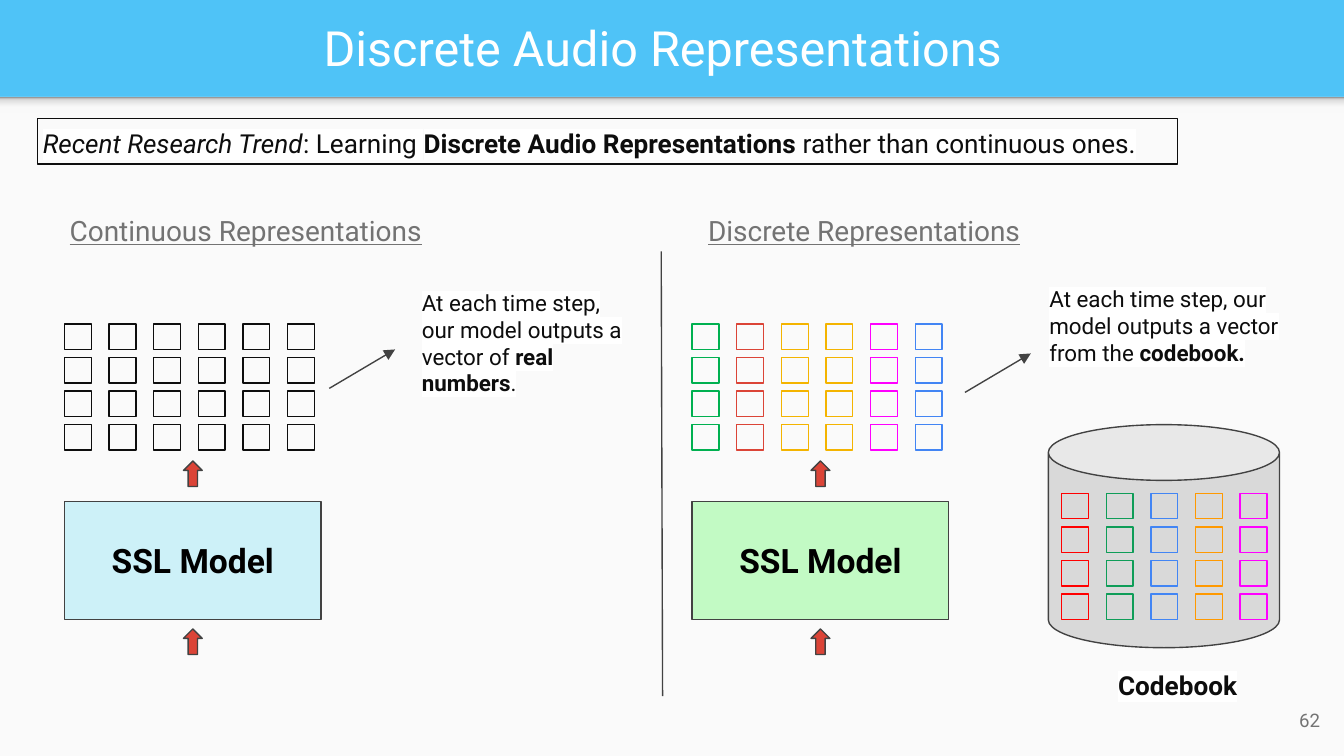
from lxml.etree import SubElement
from pptx import Presentation
from pptx.dml.color import RGBColor
from pptx.enum.shapes import MSO_CONNECTOR, MSO_SHAPE
from pptx.enum.text import MSO_ANCHOR, PP_ALIGN
from pptx.oxml.ns import qn
from pptx.util import Inches, Pt

SKY = RGBColor(0x4F, 0xC3, 0xF7)
PAPER = RGBColor(0xFA, 0xFA, 0xFA)
WHITE = RGBColor(0xFF, 0xFF, 0xFF)
BLACK = RGBColor(0x00, 0x00, 0x00)
INK = RGBColor(0x0D, 0x0D, 0x0D)
OUTLINE = RGBColor(0x42, 0x42, 0x42)
GRAY = RGBColor(0x73, 0x73, 0x73)
SILVER = RGBColor(0xD9, 0xD9, 0xD9)
BRICK = RGBColor(0xDB, 0x44, 0x37)
RED = RGBColor(0xFF, 0x00, 0x00)
GREEN = RGBColor(0x00, 0xB0, 0x50)
JADE = RGBColor(0x0F, 0x9D, 0x58)
YELLOW = RGBColor(0xF4, 0xB4, 0x00)
ORANGE = RGBColor(0xFF, 0x99, 0x00)
MAGENTA = RGBColor(0xFF, 0x00, 0xFF)
BLUE = RGBColor(0x42, 0x85, 0xF4)
CYAN = RGBColor(0x29, 0xD2, 0xF5)
LIME = RGBColor(0x84, 0xFB, 0x89)
SHADOW_STOPS = [(0, "F9F9F9"), (36, "F9F9F9"), (80, "DEDEDE"), (100, "999999")]
COLUMN_PITCH = 1.66 / 5
ROW_PITCH = 0.25


def add_box(slide, kind, left, top, width, height, fill=None, line=None, alpha=None):
    """Add a preset shape with an optional fill, opacity and outline."""
    shape = slide.shapes.add_shape(kind, Inches(left), Inches(top), Inches(width), Inches(height))
    shape.shadow.inherit = False
    if fill is None:
        shape.fill.background()
    else:
        shape.fill.solid()
        shape.fill.fore_color.rgb = fill
    if alpha is not None:
        color = shape._element.spPr.find(qn("a:solidFill"))[0]
        SubElement(color, qn("a:alpha"), val=str(alpha * 1000))
    if line is None:
        shape.line.fill.background()
    else:
        shape.line.color.rgb = line
        shape.line.width = Pt(0.75)
    return shape


def add_line(slide, start, end, arrow=False):
    """Draw a thin straight line, with an arrowhead at its end on request."""
    connector = slide.shapes.add_connector(
        MSO_CONNECTOR.STRAIGHT, *[Inches(value) for value in (*start, *end)])
    connector.line.color.rgb = OUTLINE
    connector.line.width = Pt(0.75)
    if arrow:
        SubElement(connector.line._get_or_add_ln(), qn("a:tailEnd"), type="triangle")
    SubElement(connector._element.spPr, qn("a:effectLst"))


def write(shape, runs, size, color, align=PP_ALIGN.LEFT, anchor=MSO_ANCHOR.TOP, highlight=False):
    """Fill a shape with one paragraph of (text, style) runs."""
    frame = shape.text_frame
    frame.word_wrap = True
    frame.vertical_anchor = anchor
    frame.margin_left = frame.margin_right = Inches(0.1)
    frame.margin_top = frame.margin_bottom = Inches(0.1)
    paragraph = frame.paragraphs[0]
    paragraph.alignment = align
    paragraph.font.name = "Roboto"
    paragraph.font.size = Pt(size)
    paragraph.font.color.rgb = color
    for text, style in runs:
        run = paragraph.add_run()
        run.text = text
        if style:
            setattr(run.font, style, True)
        if highlight:
            marker = SubElement(run._r.get_or_add_rPr(), qn("a:highlight"))
            SubElement(marker, qn("a:srgbClr"), val=str(WHITE))


def add_text(slide, left, top, width, height, runs, size, color, **options):
    """Add a text box holding one paragraph."""
    box = slide.shapes.add_textbox(Inches(left), Inches(top), Inches(width), Inches(height))
    write(box, runs, size, color, **options)


def add_page(slide):
    """Lay out the backdrop, header shadow, title and page number."""
    slide.background.fill.solid()
    slide.background.fill.fore_color.rgb = SKY
    add_box(slide, MSO_SHAPE.RECTANGLE, 0, 0.72, 10, 4.91, PAPER)
    shadow = add_box(slide, MSO_SHAPE.RECTANGLE, 0, 0.72, 10, 0.12)
    shadow.fill.gradient()
    shadow.fill.gradient_angle = 90
    stops = shadow._element.spPr.find(qn("a:gradFill")).find(qn("a:gsLst"))
    stops.clear()
    for position, color in SHADOW_STOPS:
        stop = SubElement(stops, qn("a:gs"), pos=str(position * 1000))
        SubElement(stop, qn("a:srgbClr"), val=color)
    title = slide.shapes.title
    title.left, title.top = Inches(0.11), Inches(0.02)
    title.width, title.height = Inches(9.65), Inches(0.66)
    write(title, [("Discrete Audio Representations", None)], 26, WHITE,
          align=PP_ALIGN.CENTER, anchor=MSO_ANCHOR.MIDDLE)
    add_text(slide, 9.32, 5.14, 0.6, 0.43, [("62", None)], 10, GRAY,
             align=PP_ALIGN.RIGHT, anchor=MSO_ANCHOR.MIDDLE)


def add_trend(slide, left, top, width, height):
    """Place the framed statement under the title."""
    runs = [("Recent Research Trend", "italic"), (": Learning ", None),
            ("Discrete Audio Representations", "bold"),
            (" rather than continuous ones.", None)]
    add_text(slide, left - 0.06, top - 0.03, width + 0.8, height + 0.1, runs, 14, INK, highlight=True)
    add_box(slide, MSO_SHAPE.RECTANGLE, left, top, width, height, line=INK)


def add_vectors(slide, left, top, colors):
    """Draw one column of four cells for each colour."""
    for column, color in enumerate(colors):
        for row in range(4):
            add_box(slide, MSO_SHAPE.RECTANGLE, left + column * COLUMN_PITCH,
                    top + row * ROW_PITCH, 0.2, 0.19, line=color)


def add_model(slide, left, top, heading, heading_left, colors, fill, alpha):
    """Build a heading, output vectors, model block and flow arrows."""
    width = 1.91
    add_text(slide, heading_left, top, 2.97, 0.34, [(heading, "underline")], 15, GRAY)
    add_vectors(slide, left, top + 0.92, colors)
    model = add_box(slide, MSO_SHAPE.RECTANGLE, left, top + 2.24, width, 0.88, fill, OUTLINE, alpha)
    write(model, [("SSL Model", "bold")], 18, BLACK,
          align=PP_ALIGN.CENTER, anchor=MSO_ANCHOR.MIDDLE)
    for offset in (1.94, 3.19):
        add_box(slide, MSO_SHAPE.UP_ARROW, left + width / 2 - 0.07, top + offset,
                0.14, 0.19, BRICK, OUTLINE)


def add_note(slide, left, top, width, height, runs, arrow_start):
    """Place an explanation and the arrow that leads to it."""
    x, y = arrow_start
    add_line(slide, arrow_start, (x + 0.49, y - 0.29), arrow=True)
    add_text(slide, left, top, width, height, runs, 12, INK, highlight=True)


def add_codebook(slide, left, top, width, height):
    """Draw the codebook cylinder with its vectors and caption."""
    add_box(slide, MSO_SHAPE.CAN, left, top, width, height, SILVER, OUTLINE)
    add_vectors(slide, left + 0.1, top + 0.51, [RED, JADE, BLUE, ORANGE, MAGENTA])
    add_text(slide, left + 0.42, top + height + 0.06, 1.55, 0.44,
             [("Codebook", "bold")], 14, INK, highlight=True)


def main():
    """Build the slide and save it."""
    presentation = Presentation()
    presentation.slide_width = Inches(10)
    presentation.slide_height = Inches(10 * 9 / 16)
    slide = presentation.slides.add_slide(presentation.slide_layouts[5])
    add_page(slide)
    add_trend(slide, 0.28, 0.88, 8.48, 0.34)
    add_model(slide, 0.48, 1.49, "Continuous Representations", 0.42, [INK] * 6, CYAN, 21)
    add_note(slide, 3.04, 2.05, 1.72, 1.01,
             [("At each time step, our model outputs a vector of ", None),
              ("real numbers", "bold"), (".", None)], (2.45, 2.89))
    add_line(slide, (4.92, 1.87), (4.93, 5.18))
    add_model(slide, 5.15, 1.49, "Discrete Representations", 5.17,
              [GREEN, BRICK, YELLOW, YELLOW, MAGENTA, BLUE], LIME, 47)
    add_note(slide, 7.71, 2.02, 2.03, 0.81,
             [("At each time step, our model outputs a vector from the ", None),
              ("codebook.", "bold")], (7.18, 2.92))
    add_codebook(slide, 7.8, 3.16, 1.72, 1.66)
    presentation.save("out.pptx")


if __name__ == "__main__":
    main()
